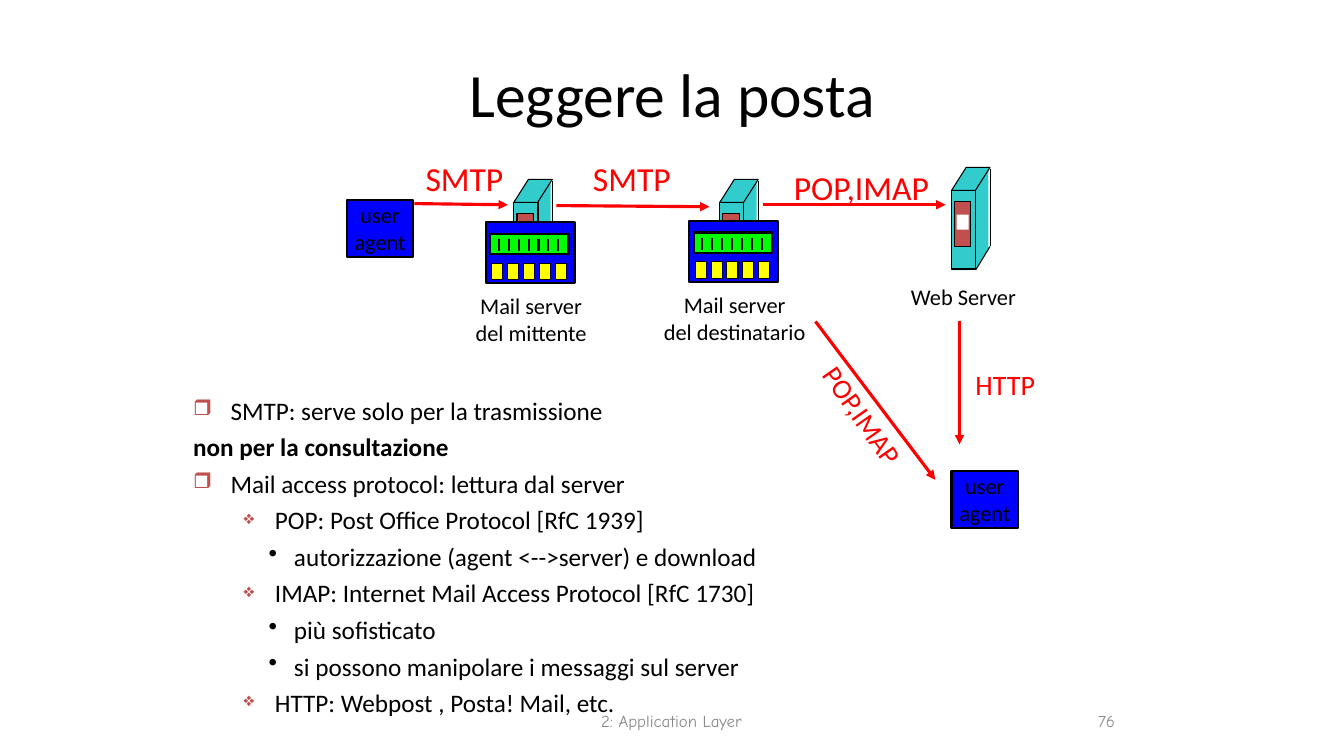
from lxml.etree import SubElement
from pptx import Presentation
from pptx.dml.color import RGBColor
from pptx.enum.shapes import MSO_CONNECTOR as Link, MSO_SHAPE as Shape
from pptx.enum.text import MSO_ANCHOR as Anchor, PP_ALIGN as Align
from pptx.oxml.ns import qn
from pptx.util import Cm, Pt

COLOURS = {
    "ink": "000000", "paper": "FFFFFF", "footer": "898989", "protocol": "FF0000",
    "tower": "33CCCC", "panel": "C0504D", "device": "0000FF",
    "display": "00FF00", "key": "FFFF00",
}
# Bullet style by list level: character, colour, size %, left margin, indent
BULLETS = {
    0: ("❒", "panel", 85, 0.94, -0.94),
    1: ("❖", "panel", 75, 2.06, -0.79),
    2: ("•", "ink", 100, 2.54, -0.64),
}


class MailSlide:
    font = "Calibri"

    def __init__(self, deck):
        self.slide = deck.slides.add_slide(deck.slide_layouts[5])
        self.canvas = self.slide.shapes

    def colour(self, name):
        return RGBColor.from_string(COLOURS[name])

    def start_group(self):
        self.canvas = self.slide.shapes.add_group_shape().shapes

    def end_group(self):
        self.canvas = self.slide.shapes

    def add_words(self, paragraph, words, size, colour="ink", bold=False, font=None):
        run = paragraph.add_run()
        run.text = words
        run.font.name = font or self.font
        run.font.size = Pt(size)
        run.font.bold = bold
        run.font.color.rgb = self.colour(colour)

    def fill_frame(self, frame, lines, size, colour="ink", align=Align.CENTER, font=None):
        for index, words in enumerate(lines):
            paragraph = frame.add_paragraph() if index else frame.paragraphs[0]
            paragraph.alignment = align
            self.add_words(paragraph, words, size, colour, font=font)

    def title(self, words, x, y, width, height):
        heading = self.slide.shapes.title
        heading.left, heading.top = Cm(x), Cm(y)
        heading.width, heading.height = Cm(width), Cm(height)
        heading.text_frame.vertical_anchor = Anchor.MIDDLE
        self.fill_frame(heading.text_frame, [words], 44)

    def text_box(self, x, y, width, height, wrap=False):
        box = self.canvas.add_textbox(Cm(x), Cm(y), Cm(width), Cm(height))
        box.text_frame.word_wrap = wrap
        return box

    def label(self, lines, x, y, width, height, size=16, colour="ink", turn=0):
        box = self.text_box(x, y, width, height)
        box.rotation = turn
        self.fill_frame(box.text_frame, lines, size, colour)

    def footer(self, words, x, width, align):
        frame = self.text_box(x, 17.65, width, 1.02, wrap=True).text_frame
        frame.vertical_anchor = Anchor.MIDDLE
        self.fill_frame(frame, [words], 12, "footer", align, "Comic Neue")

    def block(self, x, y, width, height, fill, outline=0.0, kind=Shape.RECTANGLE):
        block = self.canvas.add_shape(kind, Cm(x), Cm(y), Cm(width), Cm(height))
        block.shadow.inherit = False
        block.fill.solid()
        block.fill.fore_color.rgb = self.colour(fill)
        if outline:
            block.line.color.rgb = self.colour("ink")
            block.line.width = Pt(outline)
        else:
            block.line.fill.background()
        if kind == Shape.PARALLELOGRAM:
            block.adjustments[0] = 0.635
        return block

    def line(self, x1, y1, x2, y2, width=0.75, colour="ink", arrow=False):
        line = self.canvas.add_connector(Link.STRAIGHT, Cm(x1), Cm(y1), Cm(x2), Cm(y2))
        line.line.color.rgb = self.colour(colour)
        line.line.width = Pt(width)
        props = line._element.spPr
        if arrow:
            SubElement(props.find(qn("a:ln")), qn("a:tailEnd"), type="triangle")
        SubElement(props, qn("a:effectLst"))

    def user_agent(self, x, y):
        agent = self.block(x, y, 1.68, 1.45, "device", 1.5)
        frame = agent.text_frame
        frame.word_wrap = False
        frame.margin_top = frame.margin_bottom = 0
        self.fill_frame(frame, ["user", "agent"], 16)

    def tower(self, x, y, slot=False):
        self.start_group()
        self.block(x, y + 2.01, 0.97, 0.58, "tower", kind=Shape.PARALLELOGRAM)
        self.block(x + 0.48, y + 0.03, 0.45, 1.98, "tower")
        self.block(x, y + 0.58, 0.61, 1.98, "tower", 0.75)
        self.block(x, y, 0.97, 0.58, "tower", 0.75, Shape.PARALLELOGRAM)
        self.line(x + 0.97, y + 0.04, x + 0.97, y + 1.99)
        self.line(x + 0.97, y + 1.99, x + 0.61, y + 2.58)
        self.block(x + 0.08, y + 0.86, 0.41, 1.14, "panel", 0.75)
        if slot:
            self.block(x + 0.13, y + 1.19, 0.3, 0.38, "paper")
        self.end_group()

    def mailbox(self, x, y):
        self.start_group()
        self.block(x, y, 2.24, 1.55, "device", 1.5)
        self.block(x + 0.11, y + 0.3, 1.98, 0.51, "display", 1.5)
        for tick in range(7):
            tick_x = x + 0.33 + 0.25 * tick
            self.line(tick_x, y + 0.43, tick_x, y + 0.74, 1.5)
        for key in range(5):
            self.block(x + 0.15 + 0.4 * key, y + 1.04, 0.28, 0.41, "key", 0.75)
        self.end_group()

    def outline(self, items, x, y, width, height):
        frame = self.text_box(x, y, width, height, wrap=True).text_frame
        for index, (level, words) in enumerate(items):
            paragraph = frame.add_paragraph() if index else frame.paragraphs[0]
            char, colour, percent, margin, indent = BULLETS[level or 0]
            props = paragraph._p.get_or_add_pPr()
            props.set("marL", str(Cm(margin)))
            props.set("indent", str(Cm(indent)))
            if level is None:
                SubElement(props, qn("a:buNone"))
            else:
                tint = SubElement(props, qn("a:buClr"))
                SubElement(tint, qn("a:srgbClr"), val=COLOURS[colour])
                SubElement(props, qn("a:buSzPct"), val=str(percent * 1000))
                SubElement(props, qn("a:buChar"), char=char)
            paragraph.level = level or 0
            if index:
                paragraph.space_before = Pt(4.5)
            self.add_words(paragraph, words, 18, bold=level is None)


def main():
    deck = Presentation()
    deck.slide_width, deck.slide_height = Cm(33.87), Cm(19.05)
    page = MailSlide(deck)

    # Title and footer
    page.title("Leggere la posta", 5.51, 0.76, 22.86, 3.18)
    page.footer("2: Application Layer", 12.9, 8.05, Align.CENTER)
    page.footer("76", 22.43, 5.92, Align.RIGHT)

    # User agents and servers
    for agent_x, agent_y in ((8.74, 5.03), (23.98, 11.86)):
        page.user_agent(agent_x, agent_y)
    for tower_x, box_x, box_y in ((12.95, 12.24, 5.59), (18.14, 17.37, 5.56)):
        page.tower(tower_x, 4.52)
        page.mailbox(box_x, box_y)
    page.tower(23.98, 4.22, slot=True)
    page.label(["Mail server", "del mittente"], 11.71, 7.24, 3.35, 1.63)
    page.label(["Mail server", "del destinatario"], 16.46, 7.21, 4.11, 1.63)
    page.label(["Web Server"], 22.68, 7.01, 3.2, 0.94)

    # Protocol arrows and their labels
    for route in (
        (10.44, 5.13, 12.8, 5.16),
        (14.02, 5.18, 17.88, 5.21),
        (19.23, 5.16, 23.83, 5.16),
        (24.18, 8.1, 24.18, 11.2),
        (20.55, 8.1, 23.57, 12.09),
    ):
        page.line(*route, width=2.25, colour="protocol", arrow=True)
    for protocol, x, y, width, height, size, turn in (
        ("SMTP", 10.46, 3.86, 2.49, 1.3, 24, 0),
        ("SMTP", 14.68, 3.86, 2.49, 1.3, 24, 0),
        ("POP,IMAP", 19.74, 4.09, 3.94, 1.3, 24, 0),
        ("HTTP", 23.9, 9.14, 2.87, 1.12, 20, 0),
        ("POP,IMAP", 20.04, 9.91, 3.38, 1.12, 20, 55),
    ):
        page.label([protocol], x, y, width, height, size, "protocol", turn)

    # Notes on the protocols; level None is the bold line without a bullet
    page.outline([
        (0, "SMTP: serve solo per la trasmissione"),
        (None, "non per la consultazione"),
        (0, "Mail access protocol: lettura dal server"),
        (1, "POP: Post Office Protocol [RfC 1939]"),
        (2, "autorizzazione (agent <-->server) e download"),
        (1, "IMAP: Internet Mail Access Protocol [RfC 1730]"),
        (2, "più sofisticato"),
        (2, "si possono manipolare i messaggi sul server"),
        (1, "HTTP: Webpost , Posta! Mail, etc."),
    ], 4.62, 9.83, 20.5, 6.15)

    deck.save("out.pptx")


if __name__ == "__main__":
    main()
